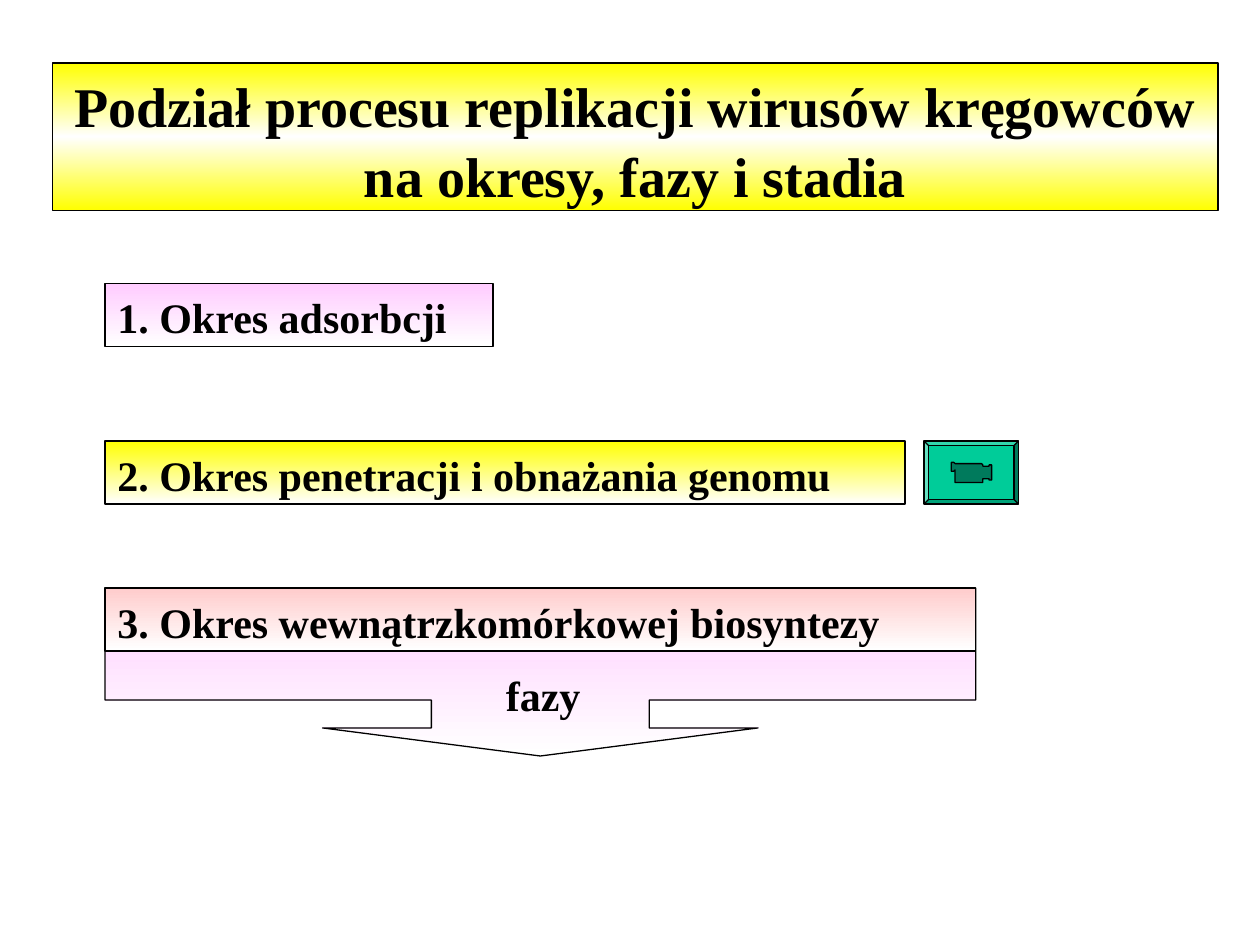
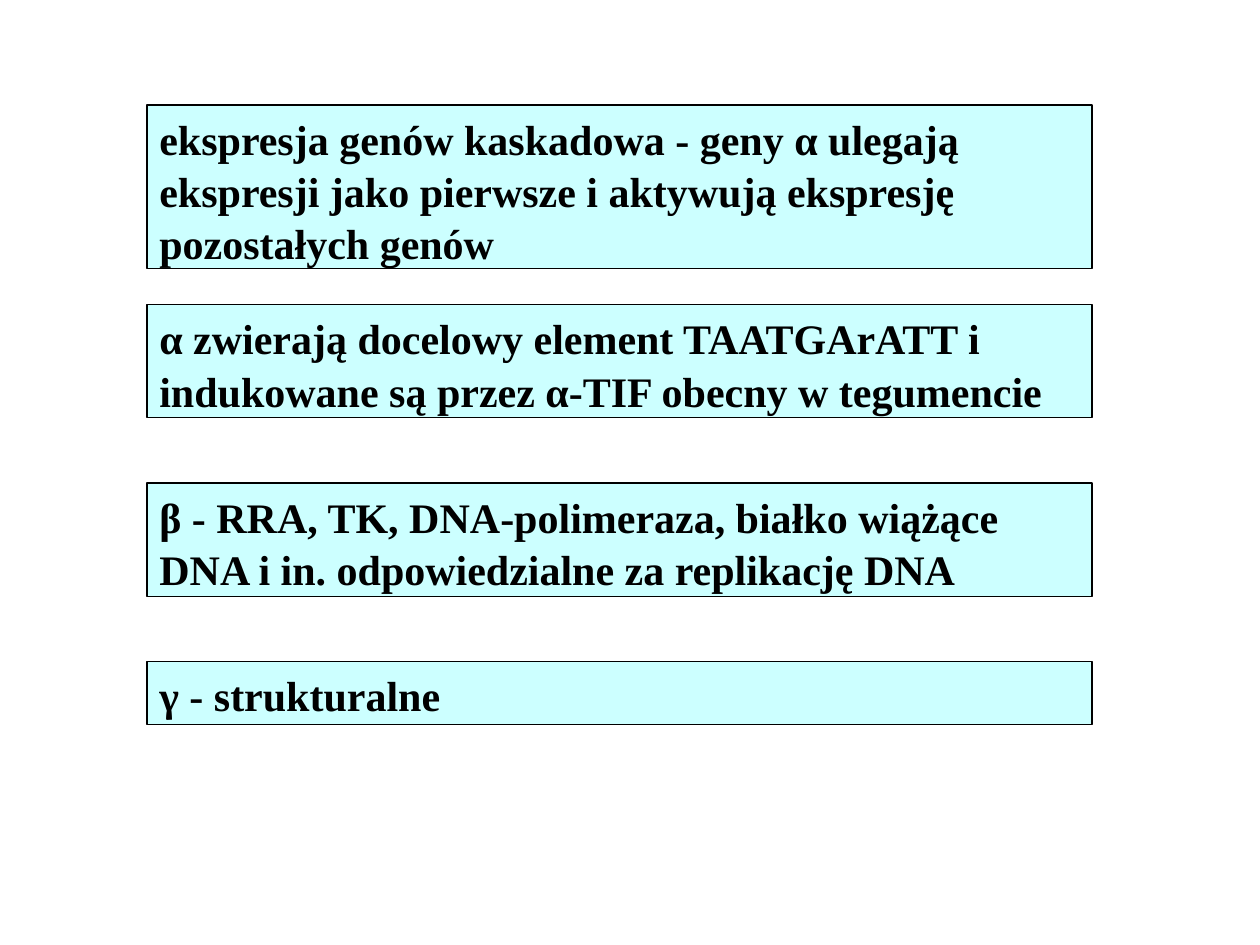
import pptx
import pptx.util
import pptx.dml.color
import pptx.enum.shapes
import pptx.enum.text
import pptx.oxml.ns
import lxml.etree

Inches, Pt = pptx.util.Inches, pptx.util.Pt
RGBColor = pptx.dml.color.RGBColor
Shape = pptx.enum.shapes.MSO_SHAPE
Align = pptx.enum.text.PP_ALIGN
qn = pptx.oxml.ns.qn

BLACK = RGBColor(0x00, 0x00, 0x00)
WHITE = RGBColor(0xFF, 0xFF, 0xFF)
YELLOW = RGBColor(0xFF, 0xFF, 0x00)
PINK = RGBColor(0xFF, 0xCC, 0xFF)
SALMON = RGBColor(0xFF, 0xCC, 0xCC)
CYAN = RGBColor(0xCC, 0xFF, 0xFF)
GREEN = RGBColor(0x00, 0xCC, 0x99)
DARK_GREEN = RGBColor(0x00, 0x7A, 0x5C)
FONT = "Times New Roman"

CELL = 1 / 12
LINE_HEIGHT, PADDING = 0.4, 0.1
TITLE_SIZE, BODY_SIZE = 32, 24

TITLE = "Podział procesu replikacji wirusów kręgowców na okresy, fazy i stadia"
PERIOD_COLUMN = 10
PERIODS = [
    ("1. Okres adsorbcji", 27, 3.08, PINK),
    ("2. Okres penetracji i obnażania genomu", 42, 6.35, YELLOW),
    ("3. Okres wewnątrzkomórkowej biosyntezy", 56, 6.91, SALMON),
]
PHASES = "fazy"
PHASES_ARROW = (1.297, 1.296, 0.167, 0.667)
GENE_COLUMN, GENE_WIDTH = 14, 7.5
GENES = [
    ("ekspresja genów kaskadowa - geny α ulegają ekspresji jako pierwsze "
     "i aktywują ekspresję pozostałych genów", 10, 3),
    ("α zwierają docelowy element TAATGArATT i indukowane są przez "
     "α-TIF obecny w tegumencie", 29, 2),
    ("β - RRA, TK, DNA-polimeraza, białko wiążące DNA i in. "
     "odpowiedzialne za replikację DNA", 46, 2),
    ("γ - strukturalne", 63, 1),
]
CAMERA = [
    (7.55, 3.67), (7.57, 3.67), (7.58, 3.68), (7.79, 3.68), (7.8, 3.69),
    (7.8, 3.7), (7.85, 3.7), (7.85, 3.69), (7.87, 3.69), (7.87, 3.81),
    (7.85, 3.81), (7.85, 3.8), (7.8, 3.8), (7.8, 3.83), (7.58, 3.83),
    (7.58, 3.73), (7.57, 3.74), (7.55, 3.74),
]


def paint(shape, *colours):
    shape.shadow.inherit = False
    shape.line.color.rgb = BLACK
    shape.line.width = Pt(0.75)
    if len(colours) == 1:
        shape.fill.solid()
        shape.fill.fore_color.rgb = colours[0]
        return
    shape.fill.gradient()
    shape.fill.gradient_angle = 270
    stops = shape._element.spPr.find(qn("a:gradFill")).find(qn("a:gsLst"))
    for stop in list(stops):
        stops.remove(stop)
    for index, colour in enumerate(colours):
        position = 100000 * index // (len(colours) - 1)
        stop = lxml.etree.SubElement(stops, qn("a:gs"), pos=str(position))
        lxml.etree.SubElement(stop, qn("a:srgbClr"), val=str(colour))


def write(shape, text, size=BODY_SIZE, align=Align.LEFT):
    frame = shape.text_frame
    frame.word_wrap = True
    frame.vertical_anchor = pptx.enum.text.MSO_ANCHOR.TOP
    paragraph = frame.paragraphs[0]
    paragraph.alignment = align
    paragraph.line_spacing = 1.04
    run = paragraph.add_run()
    run.text = text
    run.font.name = FONT
    run.font.size = Pt(size)
    run.font.bold = True
    run.font.color.rgb = BLACK


def place(slide, column, row, width, height, colours, kind=Shape.RECTANGLE):
    shape = slide.shapes.add_shape(
        kind, Inches(column * CELL), Inches(row * CELL), Inches(width), Inches(height))
    paint(shape, *colours)
    return shape


def box_height(lines):
    return lines * LINE_HEIGHT + PADDING


def add_movie_button(slide):
    button = place(slide, 88, 42, 0.75, box_height(1), [GREEN], Shape.BEVEL)
    button.adjustments[0] = 0.07
    outline = slide.shapes.build_freeform(
        Inches(CAMERA[0][0]), Inches(CAMERA[0][1]), scale=1.0)
    outline.add_line_segments([(Inches(x), Inches(y)) for x, y in CAMERA[1:]], close=True)
    paint(outline.convert_to_shape(), DARK_GREEN)


def build_periods(slide):
    title = place(slide, 5, 6, 9.25, 1.17, [YELLOW, WHITE, YELLOW])
    write(title, TITLE, TITLE_SIZE, Align.CENTER)

    last_row, last_width = PERIODS[-1][1:3]
    arrow = place(slide, PERIOD_COLUMN, last_row, last_width, 16 * CELL,
                  [PINK, WHITE], Shape.DOWN_ARROW_CALLOUT)
    for index, value in enumerate(PHASES_ARROW):
        arrow.adjustments[index] = value

    for text, row, width, colour in PERIODS:
        write(place(slide, PERIOD_COLUMN, row, width, box_height(1), [colour, WHITE]), text)

    add_movie_button(slide)
    phases = slide.shapes.add_textbox(
        Inches(47 * CELL), Inches(63 * CELL), Inches(0.93), Inches(box_height(1)))
    write(phases, PHASES)


def build_genes(slide):
    for text, row, lines in GENES:
        write(place(slide, GENE_COLUMN, row, GENE_WIDTH, box_height(lines), [CYAN]), text)


def main():
    deck = pptx.Presentation()
    deck.slide_width, deck.slide_height = Inches(10), Inches(7.5)
    for build in (build_periods, build_genes):
        build(deck.slides.add_slide(deck.slide_layouts[6]))
    deck.save("out.pptx")


if __name__ == "__main__":
    main()
